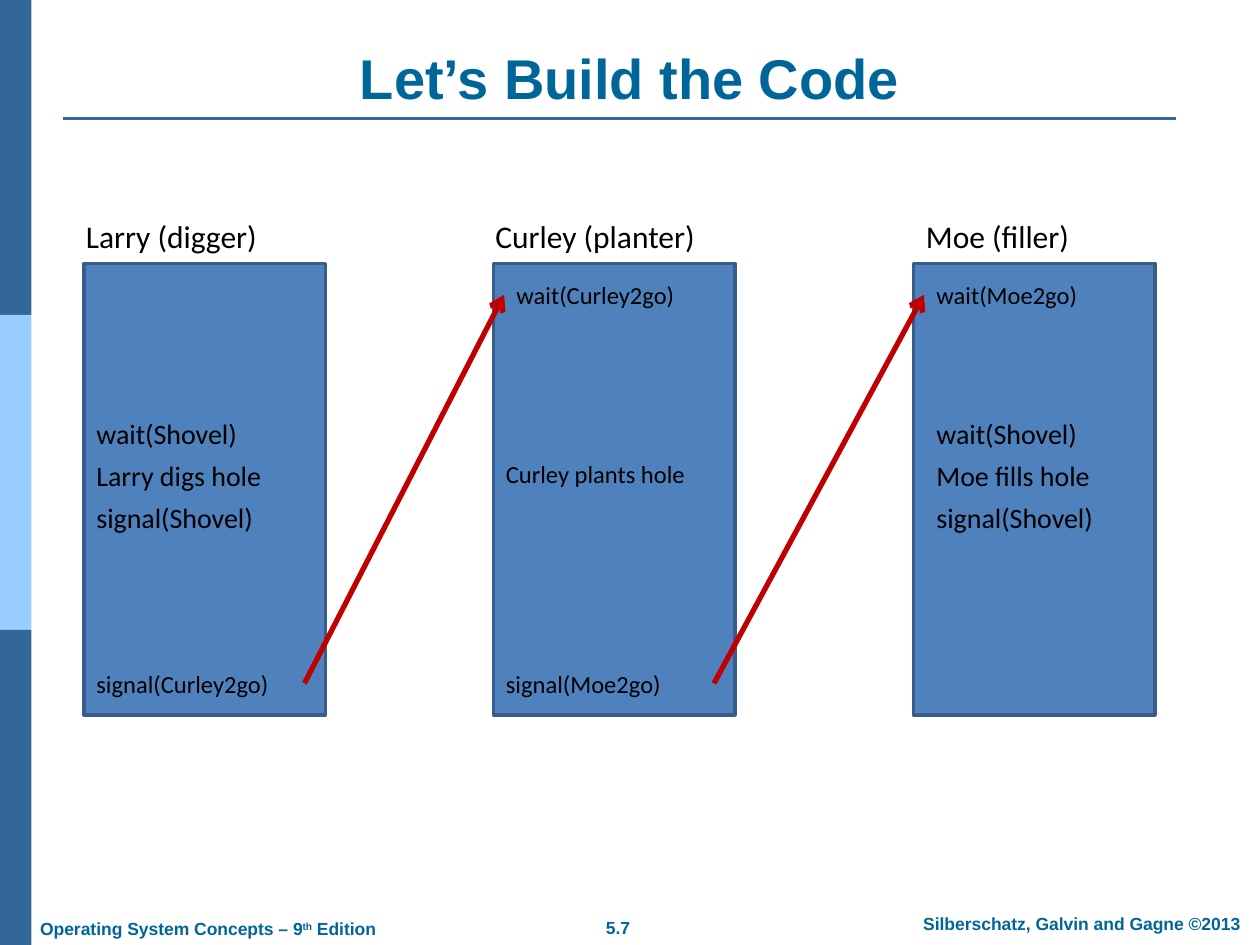
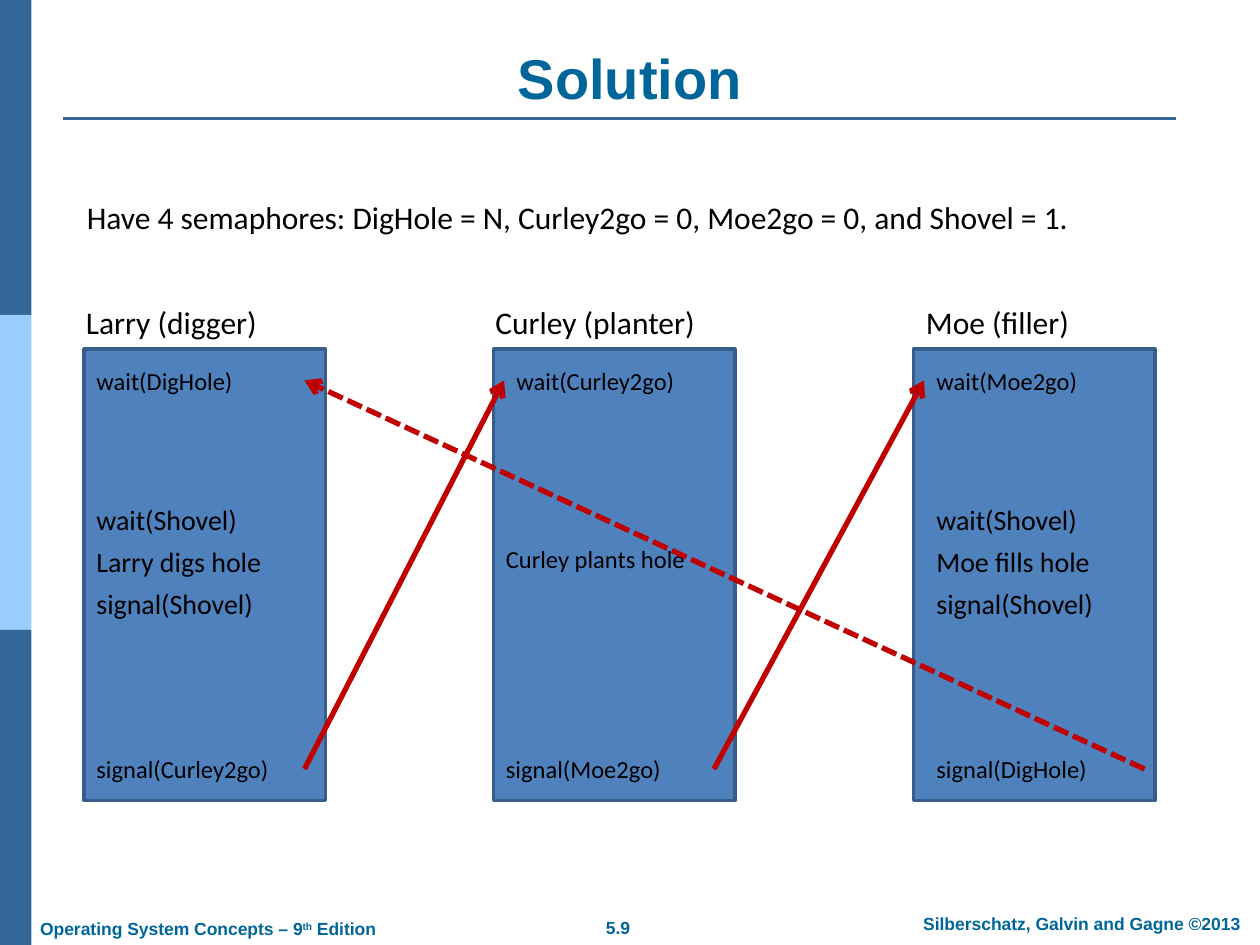
from lxml import etree
from pptx import Presentation
from pptx.dml.color import RGBColor
from pptx.enum.dml import MSO_LINE_DASH_STYLE as Dash
from pptx.enum.shapes import MSO_CONNECTOR as Connector, MSO_SHAPE as Shape
from pptx.enum.text import MSO_ANCHOR as Anchor, MSO_AUTO_SIZE as AutoSize, PP_ALIGN as Align
from pptx.oxml.ns import qn
from pptx.util import Inches, Pt

COLORS = {
    "title": "006699",
    "band": "336699",
    "band_light": "99CCFF",
    "box": "4F81BD",
    "box_edge": "385D8A",
    "signal": "C00000",
    "text": "000000",
}
WIDTH, HEIGHT = 10, 7.5

# The diagram grid has twelve cells to the inch
CELL = 1 / 12
BOX_COLS, BOX_ROWS = 23, 43
LABEL_COLS, STEP_COLS = 24, 21
LABEL_ROW, FIRST_ROW, LAST_ROW = -5, 1, 38
ACTION_ROWS = (14, 18, 22)
ARROW_START_COL, ARROW_END_COL = 21, 1
ARROW_START_ROW, ARROW_END_ROW = 40, 3

FOOTER_FONT = {"name": "Arial", "size": Pt(10), "bold": True}
TITLE_FONT = {"name": "Arial", "size": Pt(32), "bold": True}
LABEL_FONT = {"name": "Calibri", "size": Pt(18)}
ACTION_FONT = {"name": "Calibri", "size": Pt(16)}
CALL_FONT = {"name": "Calibri", "size": Pt(14)}

# Left column of each box, then its label and steps: (column shift, row, text, font)
WORKERS = [
    (8, [
        (-1, LABEL_ROW, "Larry (digger)", LABEL_FONT),
        (0, ACTION_ROWS[0], "wait(Shovel)", ACTION_FONT),
        (0, ACTION_ROWS[1], "Larry digs hole", ACTION_FONT),
        (0, ACTION_ROWS[2], "signal(Shovel)", ACTION_FONT),
        (0, LAST_ROW, "signal(Curley2go)", CALL_FONT),
    ]),
    (47, [
        (-1, LABEL_ROW, "Curley (planter)", LABEL_FONT),
        (1, FIRST_ROW, "wait(Curley2go)", CALL_FONT),
        (0, ACTION_ROWS[1], "Curley plants hole", CALL_FONT),
        (0, LAST_ROW, "signal(Moe2go)", CALL_FONT),
    ]),
    (87, [
        (0, LABEL_ROW, "Moe (filler)", LABEL_FONT),
        (1, FIRST_ROW, "wait(Moe2go)", CALL_FONT),
        (1, ACTION_ROWS[0], "wait(Shovel)", ACTION_FONT),
        (1, ACTION_ROWS[1], "Moe fills hole", ACTION_FONT),
        (1, ACTION_ROWS[2], "signal(Shovel)", ACTION_FONT),
    ]),
]
LARRY, CURLEY, MOE = (col for col, _ in WORKERS)


def rgb(color):
    return RGBColor.from_string(COLORS[color])


def format_font(font, values, color):
    for attribute, value in values.items():
        setattr(font, attribute, value)
    font.color.rgb = rgb(color)


def add_text(slide, left, top, width, height, text, values, color="text",
             align=Align.LEFT, wrap=True):
    box = slide.shapes.add_textbox(*map(Inches, (left, top, width, height)))
    box.text_frame.word_wrap = wrap
    paragraph = box.text_frame.paragraphs[0]
    paragraph.alignment = align
    paragraph.text = text
    format_font(paragraph.font, values, color)
    return paragraph


def add_rectangle(slide, left, top, width, height, fill, edge=None):
    rectangle = slide.shapes.add_shape(
        Shape.RECTANGLE, *map(Inches, (left, top, width, height)))
    rectangle.shadow.inherit = False
    rectangle.fill.solid()
    rectangle.fill.fore_color.rgb = rgb(fill)
    if edge:
        rectangle.line.color.rgb = rgb(edge)
        rectangle.line.width = Pt(2)
    else:
        rectangle.line.fill.background()


def add_line(slide, start, end, color, weight, arrow=False, dash=None):
    connector = slide.shapes.add_connector(
        Connector.STRAIGHT, *map(Inches, (*start, *end)))
    line = connector.line
    line.color.rgb = rgb(color)
    line.width = Pt(weight)
    if dash:
        line.dash_style = dash
    if arrow:
        etree.SubElement(line._get_or_add_ln(), qn("a:tailEnd"), type="arrow")
    etree.SubElement(connector._element.spPr, qn("a:effectLst"))


def add_base_slide(prs, title_text, number):
    slide = prs.slides.add_slide(prs.slide_layouts[5])

    # Side bands and title rule
    band_height = HEIGHT / 3
    for index, fill in enumerate(("band", "band_light", "band")):
        add_rectangle(slide, 0, index * band_height, WIDTH / 40, band_height, fill)
    add_line(slide, (0.5, 0.94), (9.33, 0.94), "band", 1.5)

    # Footers
    add_text(slide, 4.41, 7.23, 0.99, 0.27, number, FOOTER_FONT, "title",
             Align.CENTER, wrap=False)
    add_text(slide, 7.1, 7.2, 2.97, 0.27, "Silberschatz, Galvin and Gagne ©2013",
             FOOTER_FONT, "title", Align.CENTER)
    book = add_text(slide, 0.22, 7.24, 2.87, 0.27, "Operating System Concepts – 9",
                    FOOTER_FONT, "title", wrap=False)
    ordinal = book.add_run()
    ordinal.text = "th"
    ordinal.font._element.set("baseline", "30000")
    book.add_run().text = " Edition"

    # Title
    title = slide.shapes.title
    place = {"left": 0.5, "top": 0.3, "width": 9, "height": 0.63}
    for attribute, value in place.items():
        setattr(title, attribute, Inches(value))
    frame = title.text_frame
    frame.text = title_text
    frame.auto_size = AutoSize.NONE
    frame.vertical_anchor = Anchor.BOTTOM
    frame.paragraphs[0].alignment = Align.CENTER
    format_font(frame.paragraphs[0].font, TITLE_FONT, "title")
    return slide


def add_step(slide, top, col, row, text, values):
    cols = LABEL_COLS if row == LABEL_ROW else STEP_COLS
    add_text(slide, col * CELL, top + row * CELL, cols * CELL, 0.37, text, values)


def add_signal(slide, top, sender, receiver_col, dash=None):
    start = ((sender + ARROW_START_COL) * CELL, top + ARROW_START_ROW * CELL)
    end = (receiver_col * CELL, top + ARROW_END_ROW * CELL)
    add_line(slide, start, end, "signal", 3, arrow=True, dash=dash)


def add_workers(slide, top):
    for col, steps in WORKERS:
        add_rectangle(slide, col * CELL, top, BOX_COLS * CELL, BOX_ROWS * CELL,
                      "box", "box_edge")
        for shift, row, text, values in steps:
            add_step(slide, top, col + shift, row, text, values)
    for sender, receiver in ((LARRY, CURLEY), (CURLEY, MOE)):
        add_signal(slide, top, sender, receiver + ARROW_END_COL)


def main():
    prs = Presentation()
    prs.slide_width, prs.slide_height = Inches(WIDTH), Inches(HEIGHT)

    # Code to be completed
    build = add_base_slide(prs, "Let’s Build the Code", "5.7")
    add_workers(build, 2.09)

    # Solution, with the loop back from Moe to Larry
    solution = add_base_slide(prs, "Solution", "5.9")
    add_text(solution, 0.59, 1.52, 8.75, 0.4,
             "Have 4 semaphores: DigHole = N, Curley2go = 0, Moe2go = 0, and Shovel = 1.",
             LABEL_FONT)
    top = 2.77
    add_workers(solution, top)
    add_step(solution, top, LARRY, FIRST_ROW, "wait(DigHole)", CALL_FONT)
    add_step(solution, top, MOE + 1, LAST_ROW, "signal(DigHole)", CALL_FONT)
    add_signal(solution, top, MOE + 1, LARRY + ARROW_START_COL, Dash.SQUARE_DOT)

    prs.save("out.pptx")


if __name__ == "__main__":
    main()
